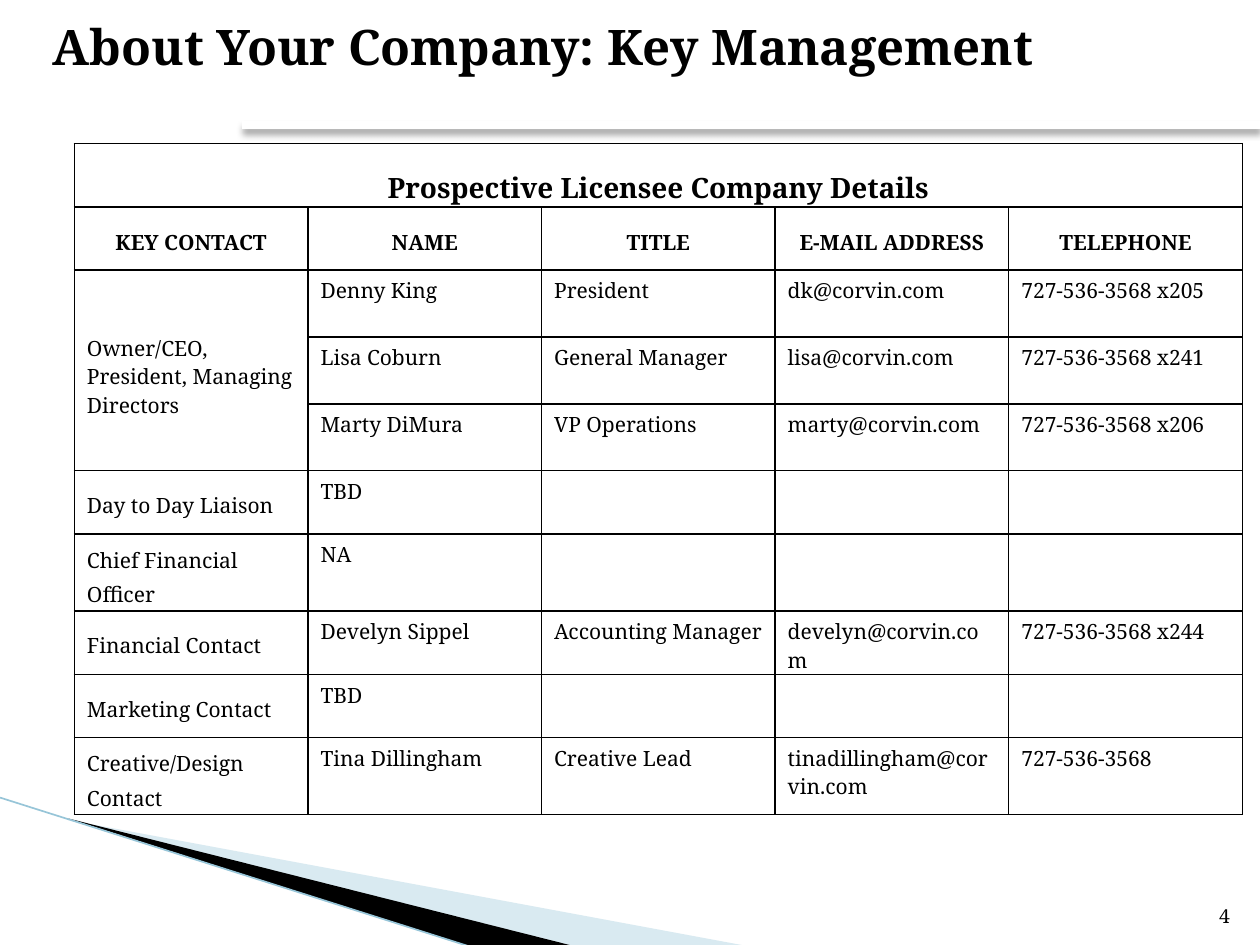
from dataclasses import dataclass

from lxml import etree
from pptx import Presentation
from pptx.dml.color import RGBColor
from pptx.enum.shapes import MSO_CONNECTOR
from pptx.enum.text import MSO_ANCHOR, PP_ALIGN
from pptx.oxml.ns import qn
from pptx.util import Emu, Inches, Pt

STRAIGHT = MSO_CONNECTOR.STRAIGHT
MIDDLE, BOTTOM = MSO_ANCHOR.MIDDLE, MSO_ANCHOR.BOTTOM
LEFT, CENTER, RIGHT = PP_ALIGN.LEFT, PP_ALIGN.CENTER, PP_ALIGN.RIGHT
WIDTH, HEIGHT = Inches(10), Inches(7.5)


@dataclass(frozen=True)
class Theme:
    font: str = "Noto Serif"
    ink: str = "000000"
    paper: str = "FFFFFF"
    pale: str = "A0CBDC"
    edge: str = "97C5D8"
    title: int = 28
    heading: int = 16
    body: int = 12
    number: int = 11


THEME = Theme()


@dataclass(frozen=True)
class Box:
    """A region in percent of the slide's width and height."""
    left: float
    top: float
    width: float
    height: float

    def point(self, across, down):
        """Slide position of a point given as shares of the box."""
        return (Emu(round(WIDTH * (self.left + across * self.width) / 100)),
                Emu(round(HEIGHT * (self.top + down * self.height) / 100)))

    def frame(self):
        left, top = self.point(0, 0)
        right, bottom = self.point(1, 1)
        return left, top, Emu(right - left), Emu(bottom - top)


TITLE_BOX = Box(3.2, 1.07, 92.7, 7.6)
RULE_BOX = Box(19.2, 13.2, 80.8, 0)
TABLE_BOX = Box(5.9, 15.2, 92.7, 70.93)
CORNER_BOX = Box(0, 84.4, 60, 15.73)
NUMBER_BOX = Box(94.6, 93.47, 4, 5.33)

TABLE_TITLE = "Prospective Licensee Company Details"
HEADINGS = ["KEY CONTACT", "NAME", "TITLE", "E-MAIL ADDRESS", "TELEPHONE"]
OWNERS = "Owner/CEO, President, Managing Directors"
CONTACTS = [
    [OWNERS, "Denny King", "President", "dk@corvin.com", "727-536-3568 x205"],
    ["", "Lisa Coburn", "General Manager", "lisa@corvin.com", "727-536-3568 x241"],
    ["", "Marty DiMura", "VP Operations", "marty@corvin.com", "727-536-3568 x206"],
    ["Day to Day Liaison", "TBD", "", "", ""],
    ["Chief Financial Officer", "NA", "", "", ""],
    ["Financial Contact", "Develyn Sippel", "Accounting Manager",
     "develyn@corvin.com", "727-536-3568 x244"],
    ["Marketing Contact", "TBD", "", "", ""],
    ["Creative/Design Contact", "Tina Dillingham", "Creative Lead",
     "tinadillingham@corvin.com", "727-536-3568"],
]
ROW_WEIGHTS = [0.5, 0.5, 0.53, 0.53, 0.53, 0.5, 0.61, 0.5, 0.5, 0.61]
OWNER_ROWS = (2, 4)
TWO_LINE_ROWS = (6, 9)


def color(value):
    return RGBColor.from_string(value)


def add_element(parent, tag, **attributes):
    return etree.SubElement(parent, qn(tag),
                            {name: str(value) for name, value in attributes.items()})


def write(text_frame, text, size, bold=False, align=LEFT, spacing=None):
    text_frame.text = text
    text_frame.word_wrap = True
    paragraph = text_frame.paragraphs[0]
    paragraph.alignment = align
    if spacing:
        paragraph.line_spacing = spacing
    for run in paragraph.runs:
        run.font.name = THEME.font
        run.font.size = Pt(size)
        run.font.bold = bold
        run.font.color.rgb = color(THEME.ink)


def add_line(slide, start, end, line_color, width):
    """Draw a line and return its empty effect list."""
    connector = slide.shapes.add_connector(STRAIGHT, *start, *end)
    connector.line.color.rgb = color(line_color)
    connector.line.width = Pt(width)
    return add_element(connector.element.spPr, "a:effectLst")


def add_wedge(slide, box, corners, fill, opacity=100):
    points = [box.point(*corner) for corner in corners]
    builder = slide.shapes.build_freeform(*points[0])
    builder.add_line_segments(points[1:], close=True)
    wedge = builder.convert_to_shape()
    wedge.shadow.inherit = False
    wedge.line.fill.background()
    wedge.fill.solid()
    wedge.fill.fore_color.rgb = color(fill)
    if opacity < 100:
        swatch = wedge.element.spPr.find(qn("a:solidFill"))[0]
        add_element(swatch, "a:alpha", val=opacity * 1000)


def add_corner(slide, box):
    add_wedge(slide, box, [(0.09, 0.15), (0.99, 1), (0.76, 1)], THEME.pale, 40)
    add_wedge(slide, box, [(0.09, 0.14), (0.76, 1), (0.62, 1)], THEME.ink)
    add_line(slide, box.point(0, 0), box.point(0.62, 1), THEME.edge, 0.95)


def add_title(slide, box):
    title = slide.shapes.title
    title.left, title.top, title.width, title.height = box.frame()
    title.text_frame.vertical_anchor = MIDDLE
    write(title.text_frame, "About Your Company: Key Management", THEME.title, bold=True)


def add_rule(slide, box):
    effects = add_line(slide, box.point(0, 0), box.point(1, 0), THEME.paper, 4.33)
    shadow = add_element(effects, "a:outerShdw", blurRad=Pt(4), dist=Pt(3),
                         dir=90 * 60000, algn="ctr", rotWithShape=0)
    swatch = add_element(shadow, "a:srgbClr", val=THEME.ink)
    add_element(swatch, "a:alpha", val=35000)


def style_cell(cell):
    cell.margin_bottom = 0
    properties = cell._tc.get_or_add_tcPr()
    for side in ("a:lnL", "a:lnR", "a:lnT", "a:lnB"):
        border = add_element(properties, side, w=Pt(1))
        add_element(add_element(border, "a:solidFill"), "a:srgbClr", val=THEME.ink)
    cell.fill.solid()
    cell.fill.fore_color.rgb = color(THEME.paper)


def text_style(row, column):
    """Size, weight, alignment and line spacing by place in the table."""
    if row < 2:
        size = THEME.heading if row == 0 else THEME.body
        return dict(size=size, bold=True, align=CENTER, spacing=1.5)
    spacing = None
    if column == 0 and row > OWNER_ROWS[1]:
        spacing = 1.2 if row in TWO_LINE_ROWS else 1.5
    return dict(size=THEME.body, spacing=spacing)


def add_contact_table(slide, box):
    rows = [[TABLE_TITLE, "", "", "", ""], HEADINGS, *CONTACTS]
    left, top, width, height = box.frame()
    table = slide.shapes.add_table(len(rows), len(HEADINGS), left, top, width, height).table
    for column in table.columns:
        column.width = Emu(width // len(HEADINGS))
    for row, weight in zip(table.rows, ROW_WEIGHTS):
        row.height = Emu(round(height * weight / sum(ROW_WEIGHTS)))
    for row, texts in enumerate(rows):
        for column, text in enumerate(texts):
            cell = table.cell(row, column)
            style_cell(cell)
            if text:
                write(cell.text_frame, text, **text_style(row, column))
    table.cell(0, 0).merge(table.cell(0, len(HEADINGS) - 1))
    owners = table.cell(OWNER_ROWS[0], 0)
    owners.merge(table.cell(OWNER_ROWS[1], 0))
    owners.vertical_anchor = MIDDLE
    owners.margin_top = Inches(0.1)


def add_slide_number(slide, box):
    text_frame = slide.shapes.add_textbox(*box.frame()).text_frame
    text_frame.vertical_anchor = BOTTOM
    write(text_frame, "4", THEME.number, align=RIGHT)


def main():
    presentation = Presentation()
    presentation.slide_width, presentation.slide_height = WIDTH, HEIGHT
    slide = presentation.slides.add_slide(presentation.slide_layouts[5])
    add_corner(slide, CORNER_BOX)
    add_title(slide, TITLE_BOX)
    add_rule(slide, RULE_BOX)
    add_contact_table(slide, TABLE_BOX)
    add_slide_number(slide, NUMBER_BOX)
    presentation.save("out.pptx")


if __name__ == "__main__":
    main()
